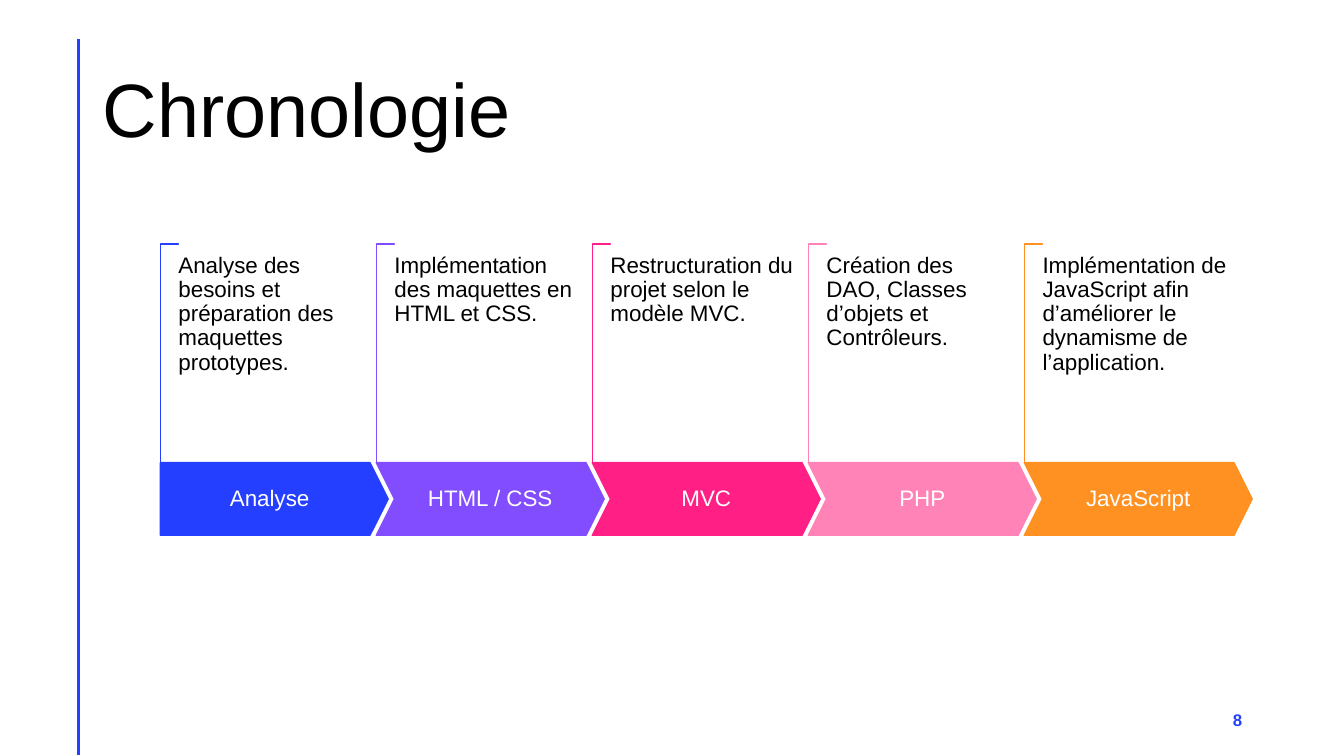
import pptx
import pptx.util
import pptx.dml.color
import pptx.enum.shapes
import pptx.enum.text
import pptx.oxml.ns
import lxml.etree
from dataclasses import dataclass

Inches = pptx.util.Inches
Shape = pptx.enum.shapes.MSO_SHAPE
Align = pptx.enum.text.PP_ALIGN
Anchor = pptx.enum.text.MSO_ANCHOR


@dataclass(frozen=True)
class Theme:
    font: str = "Arial"
    black: str = "000000"
    white: str = "FFFFFF"
    blue: str = "243FFF"
    violet: str = "814DFF"
    pink: str = "FF1F85"
    rose: str = "FF83B6"
    orange: str = "FF9022"
    title: int = 54
    body: int = 16
    small: int = 12


theme = Theme()

STEPS = [
    ("Analyse", theme.blue,
     "Analyse des besoins et préparation des maquettes prototypes."),
    ("HTML / CSS", theme.violet,
     "Implémentation des maquettes en HTML et CSS."),
    ("MVC", theme.pink,
     "Restructuration du projet selon le modèle MVC."),
    ("PHP", theme.rose,
     "Création des DAO, Classes d’objets et Contrôleurs."),
    ("JavaScript", theme.orange,
     "Implémentation de JavaScript afin d’améliorer le dynamisme de l’application."),
]


def color(code):
    return pptx.dml.color.RGBColor.from_string(code)


def write(shape, text, size, ink, align=Align.LEFT, anchor=Anchor.MIDDLE,
          pad=(0.1, 0.05), bold=False):
    frame = shape.text_frame
    frame.text = text
    frame.word_wrap = True
    frame.auto_size = pptx.enum.text.MSO_AUTO_SIZE.NONE
    frame.vertical_anchor = anchor
    frame.margin_left = frame.margin_right = Inches(pad[0])
    frame.margin_top = frame.margin_bottom = Inches(pad[1])
    para = frame.paragraphs[0]
    para.alignment = align
    para.line_spacing = 0.9
    font = para.runs[0].font
    font.name = theme.font
    font.size = pptx.util.Pt(size)
    font.bold = bold
    font.color.rgb = color(ink)


def paint(shape, fill, line):
    shape.shadow.inherit = False
    shape.fill.solid()
    shape.fill.fore_color.rgb = color(fill)
    shape.line.color.rgb = color(line)
    shape.line.width = pptx.util.Pt(1)


def rule(slide, left, top, end):
    line = slide.shapes.add_connector(
        pptx.enum.shapes.MSO_CONNECTOR.STRAIGHT,
        Inches(left), Inches(top), Inches(left), Inches(end))
    line.line.color.rgb = color(theme.blue)
    line.line.width = pptx.util.Pt(2)
    lxml.etree.SubElement(line.element.spPr, pptx.oxml.ns.qn("a:effectLst"))


def header(slide, left, top, width, height):
    title = slide.shapes.title
    title.left, title.top = Inches(left), Inches(top)
    title.width, title.height = Inches(width), Inches(height)
    write(title, "Chronologie", theme.title, theme.black)


def number(slide, left, top, width, height):
    box = slide.shapes.add_textbox(
        Inches(left), Inches(top), Inches(width), Inches(height))
    write(box, "8", theme.small, theme.blue, Align.RIGHT, bold=True)


def step(slide, left, top, width, kind, name, tint, note):
    stem, hook, band = 2.17, 0.18, 0.72
    mark = slide.shapes.add_shape(
        Shape.CORNER, Inches(left + (hook - stem) / 2),
        Inches(top + (stem - hook) / 2), Inches(stem), Inches(hook))
    mark.rotation = 90
    mark.adjustments[0] = mark.adjustments[1] = 0.01
    paint(mark, theme.white, tint)

    arrow = slide.shapes.add_shape(
        kind, Inches(left), Inches(top + stem), Inches(width), Inches(band))
    arrow.adjustments[0] = 0.25
    paint(arrow, tint, tint)
    write(arrow, name, theme.body, theme.white, Align.CENTER, pad=(0.11, 0))

    box = slide.shapes.add_textbox(
        Inches(left + hook), Inches(top + 0.1), Inches(1.83), Inches(1.55))
    write(box, note, theme.body, theme.black, anchor=Anchor.TOP, pad=(0, 0))


def timeline(slide, left, top, width):
    size = 2.26
    pitch = (width - size) / (len(STEPS) - 1)
    for i, (name, tint, note) in enumerate(STEPS):
        kind = Shape.CHEVRON if i else Shape.PENTAGON
        step(slide, left + i * pitch, top, size, kind, name, tint, note)


def main():
    deck = pptx.Presentation()
    deck.slide_width, deck.slide_height = Inches(13.33), Inches(7.5)
    slide = deck.slides.add_slide(deck.slide_layouts[5])
    rule(slide, 0.78, 0.39, 7.49)
    header(slide, 0.92, 0.4, 11.5, 1.45)
    number(slide, 9.42, 6.95, 3, 0.4)
    timeline(slide, 1.59, 2.42, 10.83)
    deck.save("out.pptx")


if __name__ == "__main__":
    main()
